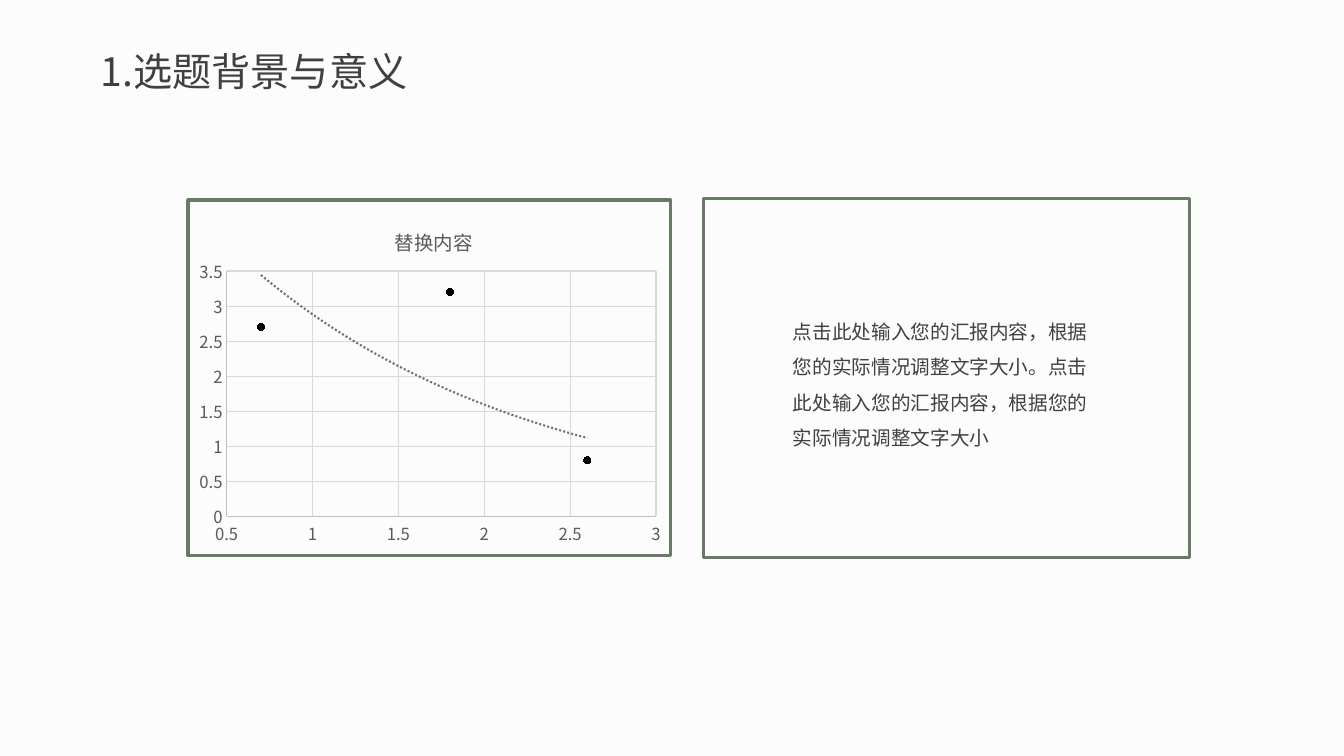
from lxml.etree import SubElement
from pptx import Presentation
from pptx.chart.data import XyChartData
from pptx.dml.color import RGBColor
from pptx.enum.chart import XL_CHART_TYPE, XL_MARKER_STYLE, XL_TICK_MARK
from pptx.enum.shapes import MSO_SHAPE
from pptx.enum.text import MSO_AUTO_SIZE
from pptx.oxml import parse_xml
from pptx.oxml.ns import nsdecls, qn
from pptx.util import Cm, Pt

FONT = "Noto Sans CJK SC"
GREEN, DARK, GRAY = "697A67", "404040", "595959"
PANEL_WIDTH, PANEL_HEIGHT = 12.24, 9.04


def color(value):
    """Turn a hex string into a colour."""
    return RGBColor.from_string(value)


def style_font(font, size, value):
    """Set size, colour and both Latin and East Asian typefaces."""
    font.size = Pt(size)
    font.bold = False
    font.color.rgb = color(value)
    font.name = FONT
    SubElement(font._rPr, qn("a:ea"), typeface=FONT)


def style_line(line, value, width):
    """Give a line its colour and width in points."""
    line.color.rgb = color(value)
    line.width = Pt(width)


def add_text(slide, box, text, size, spacing=1.0, wrap=True):
    """Place one paragraph of text in a box given in centimetres."""
    frame = slide.shapes.add_textbox(*map(Cm, box)).text_frame
    frame.word_wrap = wrap
    frame.auto_size = MSO_AUTO_SIZE.SHAPE_TO_FIT_TEXT
    paragraph = frame.paragraphs[0]
    paragraph.text = text
    paragraph.line_spacing = spacing
    style_font(paragraph.font, size, DARK)


def layout_xml(**places):
    """Build a manual chart layout from fractions of the chart."""
    modes = "".join(f'<c:{axis}Mode val="edge"/>' for axis in "xy")
    values = "".join(f'<c:{name} val="{value}"/>' for name, value in places.items())
    target = '<c:layoutTarget val="inner"/>' if "w" in places else ""
    return parse_xml(f'<c:layout {nsdecls("c")}><c:manualLayout>{target}{modes}{values}'
                     '</c:manualLayout></c:layout>')


def outline_xml(width, dash="solid"):
    """Build green outline properties with no fill."""
    return (f'<c:spPr {nsdecls("c", "a")}><a:noFill/><a:ln w="{Pt(width)}"><a:solidFill>'
            f'<a:srgbClr val="{GREEN}"/></a:solidFill><a:prstDash val="{dash}"/></a:ln></c:spPr>')


def style_axis(axis, low, high):
    """Set scale, grid, line and labels of an axis."""
    axis.minimum_scale, axis.maximum_scale, axis.major_unit = low, high, 0.5
    axis.major_tick_mark = axis.minor_tick_mark = XL_TICK_MARK.NONE
    axis.has_major_gridlines = True
    style_line(axis.major_gridlines.format.line, "D9D9D9", 0.75)
    style_line(axis.format.line, "BFBFBF", 0.75)
    style_font(axis.tick_labels.font, 12, GRAY)


def add_scatter_panel(slide, box):
    """Place the framed scatter chart with its exponential trend line."""
    data = XyChartData()
    points = data.add_series("Series 1")
    for x, y in ((0.7, 2.7), (1.8, 3.2), (2.6, 0.8)):
        points.add_data_point(x, y)
    chart = slide.shapes.add_chart(XL_CHART_TYPE.XY_SCATTER, *map(Cm, box), data).chart
    style_font(chart.font, 10, "000000")
    chart.has_legend = False
    chart.has_title = True
    title = chart.chart_title
    paragraph = title.text_frame.paragraphs[0]
    paragraph.text = "替换内容"
    style_font(paragraph.font, 14, GRAY)
    title.include_in_layout = False
    title_element = title._element
    for layout in title_element.findall(qn("c:layout")):
        title_element.remove(layout)
    title_element.find(qn("c:tx")).addnext(layout_xml(x=0.42, y=0.06))
    style_axis(chart.category_axis, 0.5, 3)
    style_axis(chart.value_axis, 0, 3.5)

    plot = chart.plots[0]
    plot.vary_by_categories = False
    series = plot.series[0]
    series.format.line.fill.background()
    series.marker.style = XL_MARKER_STYLE.CIRCLE
    series.marker.size = 5
    series.marker.format.fill.solid()
    series.marker.format.fill.fore_color.rgb = color("000000")
    style_line(series.marker.format.line, "000000", 0.75)
    series._element.find(qn("c:xVal")).addprevious(parse_xml(
        f'<c:trendline {nsdecls("c")}>{outline_xml(1.5, "sysDot")}<c:trendlineType val="exp"/>'
        '<c:dispRSqr val="0"/><c:dispEq val="0"/></c:trendline>'))

    chart_element = chart._chartSpace.find(qn("c:chart"))
    chart_element.addnext(parse_xml(outline_xml(2.25)))
    plot_area = chart_element.find(qn("c:plotArea"))
    for layout in plot_area.findall(qn("c:layout")):
        plot_area.remove(layout)
    plot_area.insert(0, layout_xml(x=0.08, y=0.2, w=0.89, h=0.69))


def add_text_panel(slide, box):
    """Place the framed panel with its text block in the middle."""
    left, top, width, height = box
    frame = slide.shapes.add_shape(MSO_SHAPE.RECTANGLE, *map(Cm, box))
    frame.shadow.inherit = False
    frame.fill.background()
    style_line(frame.line, GREEN, 2.25)
    text_width, text_height = 8.23, 3.76
    text_box = (left + (width - text_width) / 2, top + (height - text_height) / 2,
                text_width, text_height)
    sentence = "点击此处输入您的汇报内容，根据您的实际情况调整文字大小"
    add_text(slide, text_box, f"{sentence}。{sentence}", 14, spacing=1.5)


def main():
    """Build the slide and save it."""
    presentation = Presentation()
    presentation.slide_width, presentation.slide_height = Cm(33.87), Cm(19.05)
    slide = presentation.slides.add_slide(presentation.slide_layouts[6])
    slide.background.fill.solid()
    slide.background.fill.fore_color.rgb = color("FCFCFC")
    add_text(slide, (2.29, 1.07, 8.51, 1.45), "1.选题背景与意义", 28, wrap=False)
    for add_panel, left in ((add_scatter_panel, 4.7), (add_text_panel, 17.73)):
        add_panel(slide, (left, 5, PANEL_WIDTH, PANEL_HEIGHT))
    presentation.save("out.pptx")


if __name__ == "__main__":
    main()
